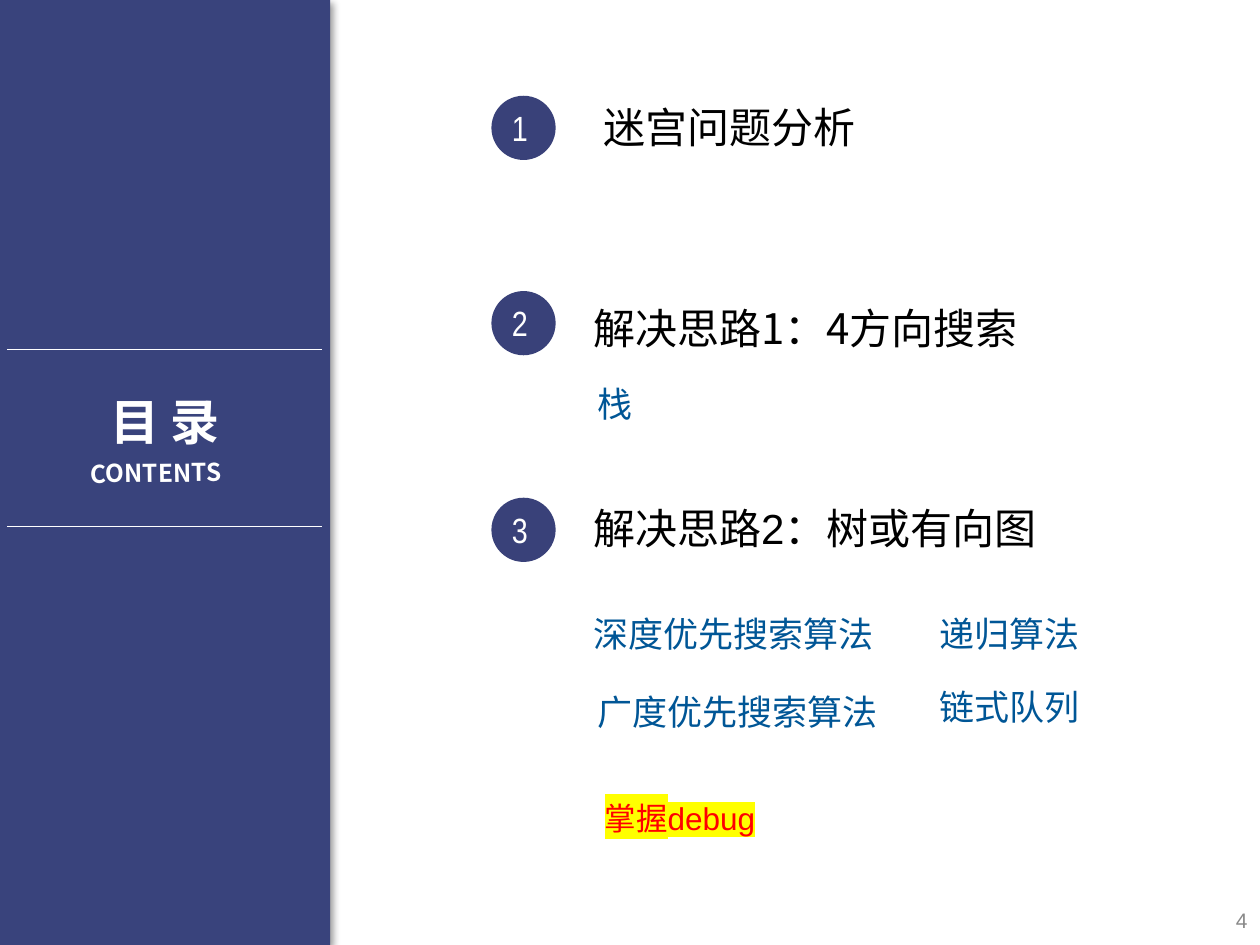
from lxml import etree
from pptx import Presentation
from pptx.dml.color import RGBColor
from pptx.enum import shapes, text
from pptx.oxml import ns
from pptx.util import Pt

NAVY = RGBColor(0x39, 0x43, 0x7C)
BADGE = RGBColor(0x39, 0x41, 0x79)
BLUE = RGBColor(0x00, 0x56, 0x96)
RED = RGBColor(0xFF, 0x00, 0x00)
YELLOW = RGBColor(0xFF, 0xFF, 0x00)
GREY = RGBColor(0x89, 0x89, 0x89)
BLACK = RGBColor(0x00, 0x00, 0x00)
WHITE = RGBColor(0xFF, 0xFF, 0xFF)
CJK = "Noto Sans CJK SC"
LEFT, CENTER, RIGHT = (text.PP_ALIGN.LEFT, text.PP_ALIGN.CENTER,
                       text.PP_ALIGN.RIGHT)


def add_run(paragraph, words, size, color, font, bold=False, highlight=None):
    run = paragraph.add_run()
    run.text = words
    run.font.size = Pt(size)
    run.font.bold = bold
    run.font.color.rgb = color
    run.font.name = font
    properties = run.font._element
    latin = properties.find(ns.qn("a:latin"))
    east_asian = etree.Element(ns.qn("a:ea"), typeface=CJK)
    latin.addnext(east_asian)
    if highlight is not None:
        marker = etree.Element(ns.qn("a:highlight"))
        etree.SubElement(marker, ns.qn("a:srgbClr"), val=str(highlight))
        latin.addprevious(marker)


def add_label(parent, box, runs, size, color, align=LEFT, middle=False,
              grow=True, wrap=True, bold=False, highlight=None):
    """Add one paragraph made of (words, font) runs."""
    label = parent.add_textbox(*map(Pt, box))
    frame = label.text_frame
    frame.word_wrap = wrap
    frame.auto_size = (text.MSO_AUTO_SIZE.SHAPE_TO_FIT_TEXT if grow
                       else text.MSO_AUTO_SIZE.NONE)
    frame.vertical_anchor = (text.MSO_ANCHOR.MIDDLE if middle
                             else text.MSO_ANCHOR.TOP)
    paragraph = frame.paragraphs[0]
    paragraph.alignment = align
    for words, font in runs:
        add_run(paragraph, words, size, color, font, bold, highlight)
    return label


def add_filled(parent, kind, box, color):
    shape = parent.add_shape(kind, *map(Pt, box))
    shape.shadow.inherit = False
    shape.fill.solid()
    shape.fill.fore_color.rgb = color
    shape.line.fill.background()
    return shape


def add_soft_shadow(shape):
    effects = shape._element.spPr.find(ns.qn("a:effectLst"))
    shadow = etree.SubElement(
        effects, ns.qn("a:outerShdw"), blurRad=str(Pt(4)), dist=str(Pt(3)),
        dir=str(45 * 60000), algn="tl", rotWithShape="0")
    color = etree.SubElement(shadow, ns.qn("a:srgbClr"), val="000000")
    etree.SubElement(color, ns.qn("a:alpha"), val="40000")


def add_rule(parent, left, right, y):
    rule = parent.add_connector(shapes.MSO_CONNECTOR.STRAIGHT,
                                Pt(left), Pt(y), Pt(right), Pt(y))
    rule.line.color.rgb = WHITE
    rule.line.width = Pt(0.5)
    etree.SubElement(rule._element.spPr, ns.qn("a:effectLst"))


def add_title_panel(parent, left, top, width, height):
    panel = add_filled(parent, shapes.MSO_SHAPE.RECTANGLE,
                       (left, top, width, height), NAVY)
    add_soft_shadow(panel)
    for y in (199.5, 301):
        add_rule(parent, left + 5, left + width - 4.5, top + y)
    add_label(parent, (left + 56, top + 220.3, 78, 41), [("目 录", CJK)],
              28, WHITE, CENTER, wrap=False, bold=True)
    contents = add_label(parent, (left + 6.5, top + 255.6, 176.4, 28.8),
                         [("CONTENTS", CJK)], 14, WHITE, CENTER,
                         middle=True, grow=False, bold=True)
    contents.text_frame.margin_right = Pt(17)
    contents.rotation = 359.3


def add_badge(parent, left, top, diameter, number):
    badge = parent.add_group_shape().shapes
    add_filled(badge, shapes.MSO_SHAPE.OVAL,
               (left, top, diameter, diameter), BADGE)
    add_label(badge, (left - 1, top + 2.6, 34.6, 31.7),
              [(str(number), "Arial Narrow")], 20, WHITE, CENTER)


def add_agenda(parent, left, top):
    """Place badges, headings and topics relative to the first badge."""
    for number, y in enumerate((0, 111.6, 229.7), start=1):
        add_badge(parent, left, top + y, 36.7, number)

    headings = [
        (56.9, 0, 286.6, "迷宫问题分析", CJK),
        (51.1, 114.5, 317.5, "解决思路1：4方向搜索", CJK),
        (51.1, 229, 271.4, "解决思路2：树或有向图", "Arial"),
    ]
    for x, y, width, words, font in headings:
        add_label(parent, (left + x, top + y, width, 36), [(words, font)],
                  24, BLACK)

    topics = [
        (53.3, 160.6, 88.6, [("栈", CJK)]),
        (51.1, 291.6, 286.6, [("深度优先搜索算法", "Arial")]),
        (249.1, 291.6, 286.6, [("递归算法", CJK)]),
        (53.3, 336.2, 286.6, [("广度优先搜索", "Arial"), ("算法", CJK)]),
        (249.1, 333.4, 136, [("链式队列", "Arial")]),
    ]
    for x, y, width, runs in topics:
        add_label(parent, (left + x, top + y, width, 31.7), runs, 20, BLUE)

    add_label(parent, (left + 57.6, top + 398.2, 120, 28.8),
              [("掌握debug", "Arial")], 18, RED, highlight=YELLOW)


def add_page_number(parent, left, top, width, height):
    add_label(parent, (left, top, width, height), [("4", "Arial")], 12, GREY,
              RIGHT, middle=True, grow=False)


def main():
    deck = Presentation()
    deck.slide_width, deck.slide_height = Pt(720), Pt(540)
    parts = deck.slides.add_slide(deck.slide_layouts[6]).shapes
    add_title_panel(parts, -0.7, 0, 189.4, 540)
    add_agenda(parts, 280.8, 54.7)
    add_page_number(parts, 558, 511.2, 162, 28.8)
    deck.save("out.pptx")


if __name__ == "__main__":
    main()
